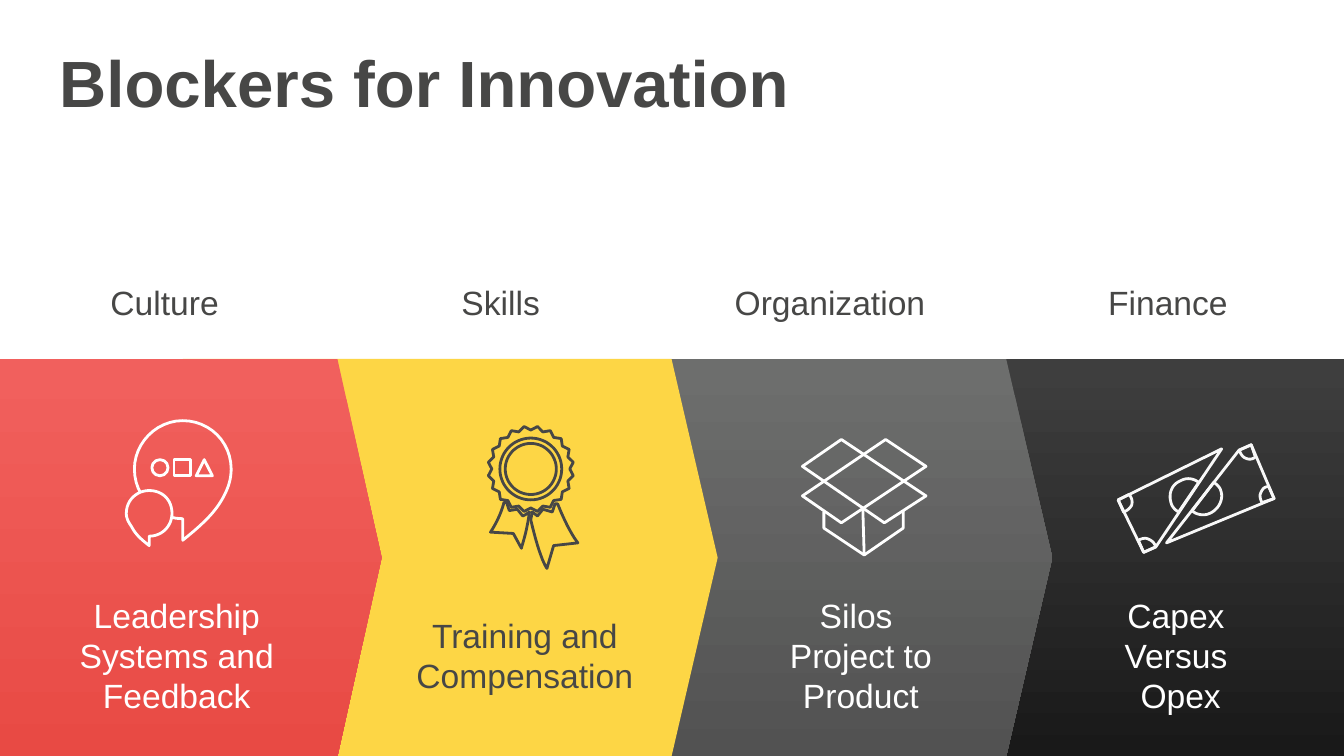
from math import cos, pi, sin

from lxml.etree import SubElement
from pptx import Presentation
from pptx.dml.color import RGBColor
from pptx.enum.shapes import MSO_CONNECTOR, MSO_SHAPE as Shape
from pptx.enum.text import MSO_ANCHOR as Anchor, MSO_AUTO_SIZE as AutoSize, PP_ALIGN as Align
from pptx.oxml.ns import qn
from pptx.util import Inches, Pt

COLORS = {
    "text": "474746", "white": "FFFFFF", "off_white": "F8F8F8", "bubble": "EE5853",
    "yellow": "FDD645", "red_top": "F1605D", "red_bottom": "E84A44",
    "gray_top": "6D6E6D", "gray_bottom": "525252",
    "black_top": "3E3E3E", "black_bottom": "191919",
}


def rgb(name):
    return RGBColor.from_string(COLORS[name])


def write_text(frame, text, size=18, color="text", bold=False, align=Align.CENTER,
               anchor=Anchor.TOP, spacing=0.9):
    """Fill a frame: a newline starts a paragraph, a vertical tab breaks a line."""
    frame.word_wrap = True
    frame.auto_size = AutoSize.NONE
    frame.vertical_anchor = anchor
    frame.text = text
    for paragraph in frame.paragraphs:
        paragraph.alignment = align
        paragraph.line_spacing = spacing
        for run in paragraph.runs:
            font = run.font
            font.name, font.size, font.bold = "Arial", Pt(size), bold
            font.color.rgb = rgb(color)


def trace(*steps, samples=12):
    """Turn steps of (x, y) lines and (x1, y1, x2, y2, x, y) curves into points."""
    points = []
    for step in steps:
        if len(step) == 2:
            points.append(step)
            continue
        corners = [points[-1], step[:2], step[2:4], step[4:]]
        for index in range(1, samples + 1):
            t = index / samples
            weights = ((1 - t) ** 3, 3 * t * (1 - t) ** 2, 3 * t * t * (1 - t), t ** 3)
            points.append(tuple(sum(weight * corner[axis] for weight, corner
                                    in zip(weights, corners)) for axis in (0, 1)))
    return points


def around(center, radii, count):
    """Points at equal angles around a center, cycling through the radii."""
    return [(center[0] + radii[i % len(radii)] * cos(2 * pi * i / count),
             center[1] + radii[i % len(radii)] * sin(2 * pi * i / count))
            for i in range(count)]


class SlideBuilder:
    line_width = Pt(1.5)

    def __init__(self, slide):
        self.slide = slide
        self.shapes = slide.shapes

    def start_group(self):
        self.shapes = self.slide.shapes.add_group_shape().shapes

    def end_group(self):
        self.shapes = self.slide.shapes

    def style(self, shape, fill=None, line=None):
        shape.shadow.inherit = False
        if fill is None:
            shape.fill.background()
        elif isinstance(fill, tuple):
            shape.fill.gradient()
            shape.fill.gradient_angle = 270
            for stop, color, position in zip(shape.fill.gradient_stops, fill, (0.02, 1)):
                stop.color.rgb, stop.position = rgb(color), position
        else:
            shape.fill.solid()
            shape.fill.fore_color.rgb = rgb(fill)
        if line is None:
            shape.line.fill.background()
        else:
            shape.line.color.rgb = rgb(line)
            shape.line.width = self.line_width

    def title(self, text, left, top, width, height):
        title = self.slide.shapes.title
        title.left, title.top = Inches(left), Inches(top)
        title.width, title.height = Inches(width), Inches(height)
        write_text(title.text_frame, text, size=35, bold=True, align=Align.LEFT)

    def text(self, text, left, top, width, height, **text_format):
        box = self.shapes.add_textbox(*map(Inches, (left, top, width, height)))
        write_text(box.text_frame, text, **text_format)

    def shape(self, kind, left, top, width, height, adjustment=None, **look):
        shape = self.shapes.add_shape(kind, *map(Inches, (left, top, width, height)))
        if adjustment is not None:
            shape.adjustments[0] = adjustment
        self.style(shape, **look)

    def outline(self, *contours, closed=True, **look):
        """Draw contours given in inches as one freeform."""
        contours = [[(Inches(x), Inches(y)) for x, y in contour] for contour in contours]
        builder = self.shapes.build_freeform(*contours[0][0])
        for index, contour in enumerate(contours):
            if index:
                builder.move_to(*contour[0])
            builder.add_line_segments(contour[1:], close=closed)
        self.style(builder.convert_to_shape(), **look)

    def line(self, start, end, color):
        connector = self.shapes.add_connector(
            MSO_CONNECTOR.STRAIGHT, *map(Inches, (*start, *end)))
        connector.line.color.rgb = rgb(color)
        connector.line.width = self.line_width
        SubElement(connector._element.spPr, qn("a:effectLst"))

    def speech_icon(self):
        self.start_group()
        self.outline(trace(
            (1.72, 3.49), (1.72, 3.29, 1.56, 3.13, 1.36, 3.13),
            (1.16, 3.13, 1, 3.3, 1, 3.49), (1, 3.69, 1.16, 3.86, 1.36, 3.86), (1.36, 4.02),
            (1.47, 3.93, 1.58, 3.84, 1.65, 3.72), (1.69, 3.65, 1.72, 3.58, 1.72, 3.49)),
            line="white")
        for index, kind in enumerate((Shape.OVAL, Shape.RECTANGLE, Shape.ISOSCELES_TRIANGLE)):
            self.shape(kind, 1.13 + 0.165 * index, 3.42, 0.12, 0.12, line="white")
        self.outline(trace(
            (0.94, 3.82), (0.94, 3.72, 1.02, 3.65, 1.11, 3.65),
            (1.21, 3.65, 1.28, 3.72, 1.28, 3.82), (1.28, 3.91, 1.21, 3.99, 1.11, 3.99),
            (1.11, 4.06), (1.06, 4.02, 1.01, 3.98, 0.98, 3.92),
            (0.96, 3.89, 0.94, 3.86, 0.94, 3.82)), fill="bubble", line="white")
        self.end_group()

    def badge_icon(self):
        center = (3.95, 3.49)
        left_ribbon = trace(
            (3.91, 3.83), (3.94, 3.81), (3.92, 3.96, 3.89, 4.04, 3.88, 4.08), (3.82, 3.97),
            (3.65, 3.96), (3.69, 3.9, 3.73, 3.82, 3.75, 3.74), (3.77, 3.74), (3.79, 3.8),
            (3.85, 3.79), (3.89, 3.84))
        right_ribbon = trace(
            (4.15, 3.75), (4.13, 3.75), (4.11, 3.81), (4.04, 3.79), (4, 3.84), (3.96, 3.81),
            (3.95, 3.87), (4.02, 4.17, 4.07, 4.23, 4.07, 4.23), (4.12, 4.06), (4.3, 4.04),
            (4.24, 3.96, 4.19, 3.85, 4.15, 3.75))
        rosette = around(center, (0.29, 0.32), 40)
        rings = [around(center, (radius,), 60) for radius in (0.23, 0.19)]
        self.outline(left_ribbon, right_ribbon, rosette, *rings, line="text")

    def box_icon(self):
        self.start_group()
        self.outline([(6.13, 3.81), (6.13, 3.93), (6.43, 4.13), (6.72, 3.93), (6.72, 3.8)],
                     closed=False, line="white")
        self.line((6.43, 4.13), (6.42, 3.78), "white")
        self.outline([(6.59, 3.27), (5.97, 3.69), (6.26, 3.89), (6.89, 3.47)], line="white")
        self.outline([(5.97, 3.47), (6.58, 3.89), (6.89, 3.69), (6.26, 3.27)], line="white")
        self.end_group()

    def banknote_icon(self):
        right_half = [
            ((9.22, 3.35), (8.68, 4.04), (9.48, 3.71), (9.31, 3.31)),
            ((9.22, 3.35), (9.23, 3.37, 9.24, 3.4, 9.27, 3.41),
             (9.29, 3.42, 9.32, 3.42, 9.34, 3.4), (9.31, 3.31)),
            ((9.39, 3.74), (9.38, 3.72, 9.37, 3.69, 9.38, 3.67),
             (9.39, 3.64, 9.41, 3.62, 9.44, 3.62), (9.48, 3.71)),
            ((8.87, 3.8), (8.9, 3.83, 8.96, 3.84, 9, 3.82),
             (9.07, 3.79, 9.11, 3.71, 9.08, 3.64), (9.07, 3.62, 9.05, 3.6, 9.03, 3.59))]
        left_half = [
            ((8.6, 4.07), (9.09, 3.34), (8.32, 3.72), (8.51, 4.11)),
            ((8.6, 4.07), (8.59, 4.04, 8.57, 4.02, 8.54, 4.01),
             (8.52, 4, 8.49, 4.01, 8.47, 4.02), (8.51, 4.11)),
            ((8.4, 3.68), (8.42, 3.7, 8.43, 3.73, 8.42, 3.76),
             (8.41, 3.78, 8.39, 3.8, 8.36, 3.81), (8.32, 3.72)),
            ((8.92, 3.59), (8.88, 3.56, 8.83, 3.55, 8.78, 3.58),
             (8.71, 3.61, 8.69, 3.69, 8.72, 3.76), (8.73, 3.78, 8.75, 3.8, 8.77, 3.81))]
        self.start_group()
        for steps in right_half + left_half:
            self.outline(trace(*steps), line="off_white")
        self.end_group()


def main():
    presentation = Presentation()
    presentation.slide_width = Inches(10)
    presentation.slide_height = presentation.slide_width * 9 // 16
    slide = presentation.slides.add_slide(presentation.slide_layouts[5])
    builder = SlideBuilder(slide)
    builder.title("Blockers for Innovation", 0.34, 0.33, 9.4, 1.63)

    for label, left, width in (("Culture", 0, 2.45), ("Skills", 2.45, 2.55),
                               ("Organization", 4.9, 2.55), ("Finance", 7.45, 2.48)):
        builder.text(label, left, 2.08, width, 0.51)

    builder.shape(Shape.RECTANGLE, 7.42, 2.67, 2.58, 2.96, fill=("black_top", "black_bottom"))
    for left, width, fill in ((3.85, 3.98, ("gray_top", "gray_bottom")),
                              (1.36, 3.98, "yellow"),
                              (0, 2.84, ("red_top", "red_bottom"))):
        builder.shape(Shape.PENTAGON, left, 2.67, width, 2.96, adjustment=0.116, fill=fill)

    builder.speech_icon()
    builder.badge_icon()
    builder.box_icon()
    builder.banknote_icon()

    for text, left, color in (("Leadership Systems and Feedback", 0.34, "white"),
                              ("Training and Compensation", 2.93, "text"),
                              ("Silos \vProject to Product", 5.43, "white"),
                              ("Capex \nVersus \vOpex", 7.81, "white")):
        builder.text(text, left, 3.9, 1.95, 1.95, color=color, anchor=Anchor.MIDDLE, spacing=1)
    presentation.save("out.pptx")


if __name__ == "__main__":
    main()
